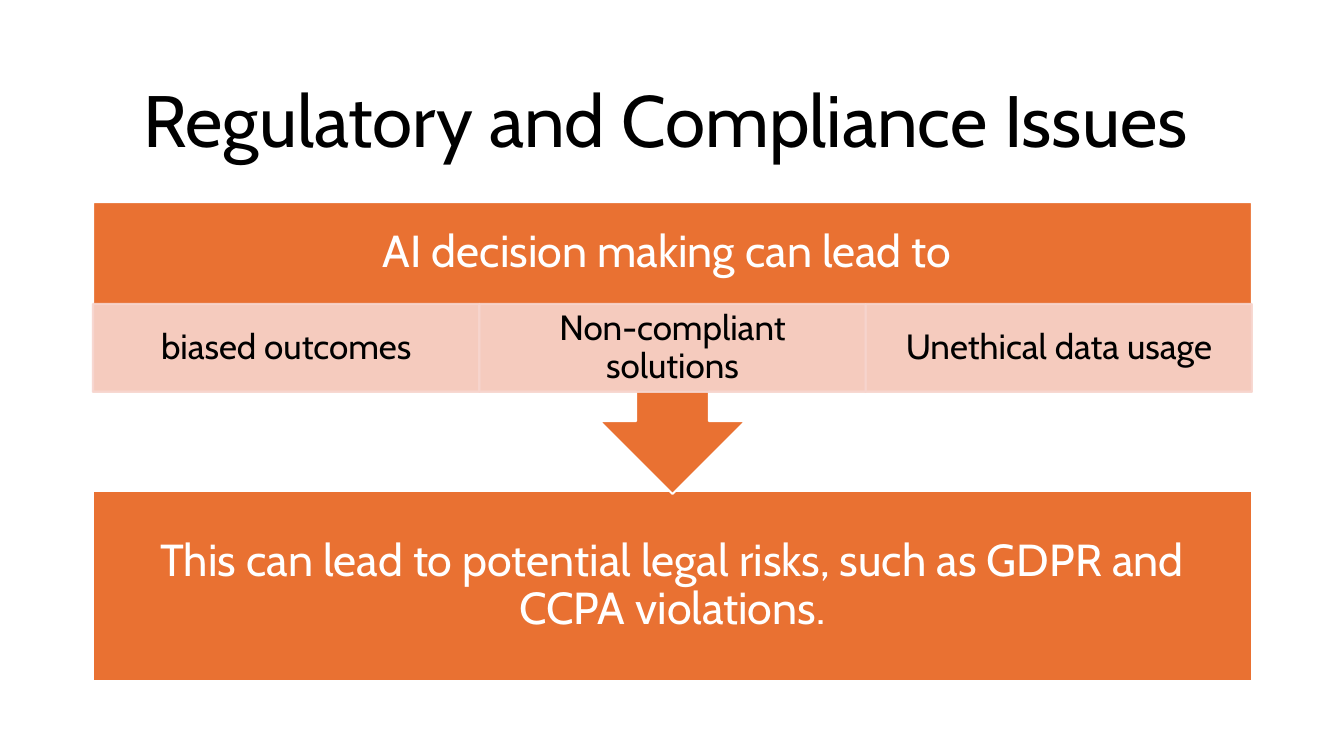
from lxml import etree
from pptx import Presentation
from pptx import util as u
from pptx.dml.color import RGBColor
from pptx.enum import shapes, text
from pptx.oxml.ns import qn

SLIDE_WIDTH, SLIDE_HEIGHT = 1344, 756
EMU_PER_PX = 12192000 / SLIDE_WIDTH
COLORS = {"orange": "E97132", "blush": "F7D5CE", "white": "FFFFFF", "black": "000000"}
FORMATS = {
    "title": {"size": u.Pt(52), "name": "Cabin", "color": "black", "insets": (10, 5)},
    "statement": {"size": u.Pt(32), "name": "Cabin", "color": "white", "insets": (25, 25)},
    "outcome": {"size": u.Pt(25), "name": "Cabin", "color": "black", "insets": (19, 3)},
}
OUTCOMES = ["biased outcomes", "Non-compliant solutions", "Unethical data usage"]


def px(length):
    return u.Emu(round(length * EMU_PER_PX))


def rgb(name):
    return RGBColor.from_string(COLORS[name])


def write_text(shape, wording, style):
    values = dict(FORMATS[style])
    color = values.pop("color")
    across, down = values.pop("insets")
    frame = shape.text_frame
    frame_values = {
        "word_wrap": True,
        "vertical_anchor": text.MSO_ANCHOR.MIDDLE,
        "margin_left": px(across),
        "margin_right": px(across),
        "margin_top": px(down),
        "margin_bottom": px(down),
    }
    for key, value in frame_values.items():
        setattr(frame, key, value)
    paragraph = frame.paragraphs[0]
    paragraph.alignment = text.PP_ALIGN.CENTER
    paragraph.line_spacing = 0.9
    run = paragraph.add_run()
    run.text = wording
    for key, value in values.items():
        setattr(run.font, key, value)
    run.font.color.rgb = rgb(color)


def add_text(slide, box, wording, style):
    write_text(slide.shapes.add_textbox(*map(px, box)), wording, style)


def add_panel(slide, kind, box, fill, line, opacity=100):
    shape = slide.shapes.add_shape(kind, *map(px, box))
    shape.shadow.inherit = False
    shape.fill.solid()
    shape.fill.fore_color.rgb = rgb(fill)
    shape.line.color.rgb = rgb(line)
    shape.line.width = u.Pt(1.5)
    if opacity < 100:
        for color in shape._element.spPr.iter(qn("a:srgbClr")):
            etree.SubElement(color, qn("a:alpha")).set("val", str(opacity * 1000))
    return shape


def add_risks(slide, box):
    panel = add_panel(slide, shapes.MSO_SHAPE.RECTANGLE, box, "orange", "white")
    wording = "This can lead to potential legal risks, such as GDPR and CCPA violations."
    write_text(panel, wording, "statement")


def add_causes(slide, box):
    left, top, width, height = box
    heading_height, outcome_height = 102, 88
    callout = add_panel(slide, shapes.MSO_SHAPE.UP_ARROW_CALLOUT, box, "orange", "white")
    callout.rotation = 180
    add_text(slide, (left, top, width, heading_height), "AI decision making can lead to ", "statement")
    outcome_width = width / len(OUTCOMES)
    for index, wording in enumerate(OUTCOMES):
        cell = (left + index * outcome_width, top + heading_height, outcome_width, outcome_height)
        panel = add_panel(slide, shapes.MSO_SHAPE.RECTANGLE, cell, "blush", "blush", 90)
        write_text(panel, wording, "outcome")


def main():
    presentation = Presentation()
    presentation.slide_width = px(SLIDE_WIDTH)
    presentation.slide_height = px(SLIDE_HEIGHT)
    slide = presentation.slides.add_slide(presentation.slide_layouts[6])
    left, width = 93, 1159
    add_text(slide, (left, 61, width, 125), "Regulatory and Compliance Issues\t", "title")
    add_risks(slide, (left, 491, width, 190))
    add_causes(slide, (left, 202, width, 292))
    presentation.save("out.pptx")


if __name__ == "__main__":
    main()
